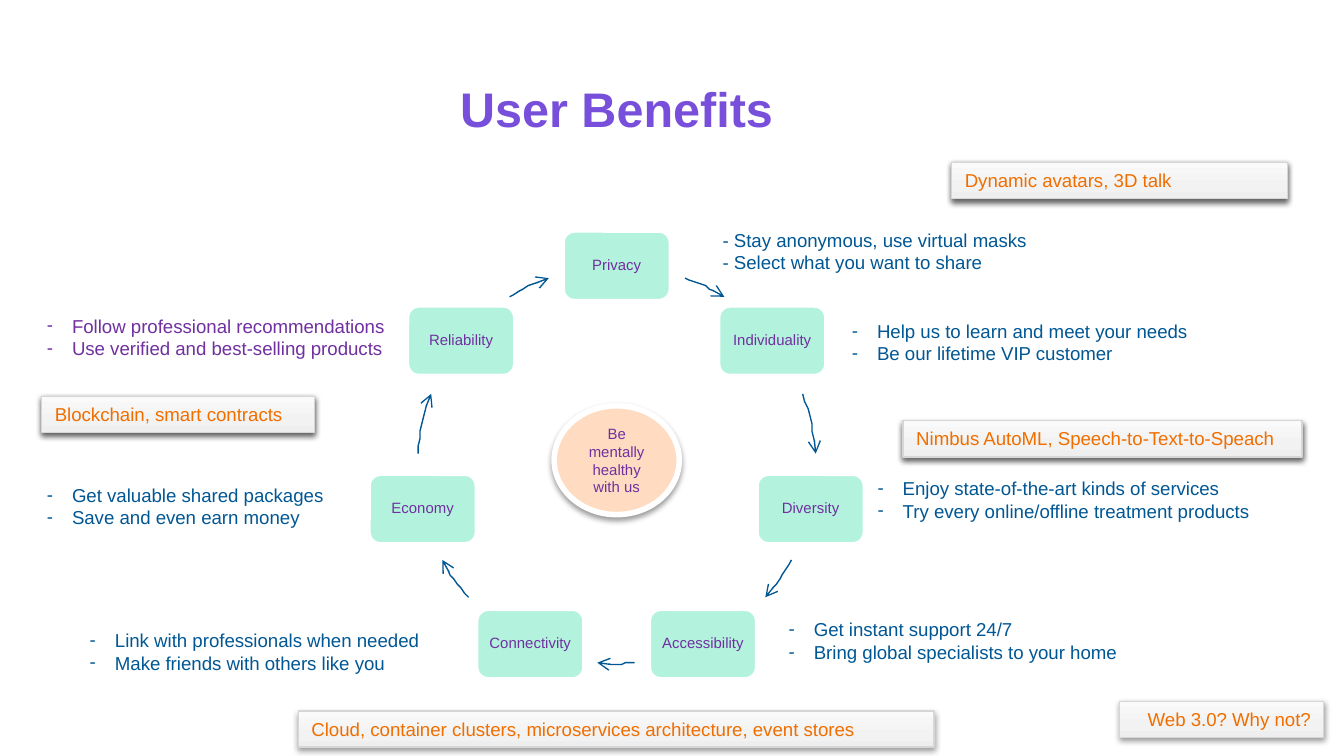
import copy
import math

import lxml.etree
import pptx
import pptx.dml.color
import pptx.enum.shapes
import pptx.enum.text
import pptx.oxml.ns
import pptx.util

Pt = pptx.util.Pt
SHAPES = pptx.enum.shapes.MSO_SHAPE
ALIGN = pptx.enum.text.PP_ALIGN
ANCHOR = pptx.enum.text.MSO_ANCHOR
AUTO_SIZE = pptx.enum.text.MSO_AUTO_SIZE
qn = pptx.oxml.ns.qn


class Theme:
    font = "Arial"
    title, blue, purple, orange = "774FDB", "005794", "7030A0", "F06E00"
    mint, peach, white, tag_line = "B3F2DD", "FEDBC1", "FFFFFF", "D6D6D6"
    tag_stops = [(0, "EEEEEE"), (0.35, "F2F2F2"), (1, "FAFAFA")]
    title_size, body_size, node_size = 26, 10, 8


# Content
TITLE = "User Benefits"
HUB = "Be mentally healthy with us"
# clockwise from the top: name, start and end angle of the arrow that follows
CYCLE = [
    ("Privacy", 19.8, 32.8),
    ("Individuality", 69, 87),
    ("Diversity", 118.3, 132),
    ("Accessibility", 174.6, 185.8),
    ("Connectivity", 228, 241.7),
    ("Economy", 273, 291),
    ("Reliability", 327.2, 340.2),
]
# left, top, width, colour, bulleted, lines
BENEFITS = [
    (380, 119, 181, Theme.blue, False,
     ["- Stay anonymous, use virtual masks", "- Select what you want to share"]),
    (449.3, 167.8, 214, Theme.blue, True,
     ["Help us to learn and meet your needs", "Be our lifetime VIP customer"]),
    (463, 252, 231, Theme.blue, True,
     ["Enjoy state-of-the-art kinds of services", "Try every online/offline treatment products"]),
    (415.4, 327.6, 214, Theme.blue, True,
     ["Get instant support 24/7", "Bring global specialists to your home"]),
    (41, 333.4, 214, Theme.blue, True,
     ["Link with professionals when needed", "Make friends with others like you"]),
    (18, 164.9, 214, Theme.purple, True,
     ["Follow professional recommendations", "Use verified and best-selling products"]),
    (18, 255.6, 214, Theme.blue, True,
     ["Get valuable shared packages", "Save and even earn money"]),
]
# left, top, width, alignment, layers (two layers deepen the shadow), text
TAGS = [
    (483.8, 225.4, 213.8, ALIGN.LEFT, 2, "Nimbus AutoML, Speech-to-Text-to-Speach"),
    (159.8, 380.9, 340.6, ALIGN.LEFT, 1,
     "Cloud, container clusters, microservices architecture, event stores"),
    (509.8, 87.1, 180, ALIGN.LEFT, 2, "Dynamic avatars, 3D talk"),
    (599.8, 375.8, 109.4, ALIGN.RIGHT, 1, "Web 3.0? Why not?"),
    (22.3, 212.4, 146.2, ALIGN.LEFT, 2, "Blockchain, smart contracts"),
]

# Geometry
CENTER_X, CENTER_Y, RADIUS = 330.4, 249, 106.6
NODE_WIDTH, NODE_HEIGHT = 57.6, 37.4
HUB_WIDTH, HUB_HEIGHT = 67, 58.3
TAG_HEIGHT, BENEFIT_HEIGHT, BULLET_INDENT = 19.4, 31.7, 13.5
ARC_STEPS = 8

deck = pptx.Presentation()
deck.slide_width, deck.slide_height = Pt(720), Pt(405)
page = deck.slides.add_slide(deck.slide_layouts[6])


def rgb(value):
    return pptx.dml.color.RGBColor.from_string(value)


def on_ring(degrees):
    angle = math.radians(degrees)
    return CENTER_X + RADIUS * math.sin(angle), CENTER_Y - RADIUS * math.cos(angle)


def write(box, lines, size, color, align=ALIGN.LEFT, anchor=ANCHOR.TOP,
          inset=None, spacing=None, bold=False):
    frame = box.text_frame
    frame.word_wrap = True
    frame.vertical_anchor = anchor
    if inset is not None:
        frame.margin_left = frame.margin_right = Pt(inset)
        frame.margin_top = frame.margin_bottom = Pt(inset)
    for index, line in enumerate(lines):
        para = frame.add_paragraph() if index else frame.paragraphs[0]
        para.alignment = align
        if spacing:
            para.line_spacing = spacing
        span = para.add_run()
        span.text = line
        span.font.name, span.font.size = Theme.font, Pt(size)
        span.font.bold, span.font.color.rgb = bold, rgb(color)
    return frame


def add_box(kind, left, top, width, height, line, line_width, fill=None):
    box = page.shapes.add_shape(kind, Pt(left), Pt(top), Pt(width), Pt(height))
    box.shadow.inherit = False
    box.line.color.rgb, box.line.width = rgb(line), Pt(line_width)
    if fill:
        box.fill.solid()
        box.fill.fore_color.rgb = rgb(fill)
    return box


def add_text_box(left, top, width, height):
    return page.shapes.add_textbox(Pt(left), Pt(top), Pt(width), Pt(height))


def drop_shadow(box):
    effects = box._element.spPr.find(qn("a:effectLst"))
    shadow = lxml.etree.SubElement(
        effects, qn("a:outerShdw"), blurRad=str(Pt(3.1)), dist=str(Pt(1.6)),
        dir="5400000", rotWithShape="0")
    color = lxml.etree.SubElement(shadow, qn("a:srgbClr"), val="000000")
    lxml.etree.SubElement(color, qn("a:alpha"), val="38000")


def tag_gradient(box):
    box.fill.gradient()
    box.fill.gradient_angle = 90
    stop_list = box._element.spPr.find(qn("a:gradFill")).find(qn("a:gsLst"))
    stop_list.append(copy.deepcopy(stop_list[0]))
    for stop, (position, color) in zip(box.fill.gradient_stops, Theme.tag_stops):
        stop.position, stop.color.rgb = position, rgb(color)


# Cycle: nodes evenly spaced on a ring, each followed by a curved arrow
for index, (name, start, end) in enumerate(CYCLE):
    x, y = on_ring(360 / len(CYCLE) * index)
    node = add_box(SHAPES.ROUNDED_RECTANGLE, x - NODE_WIDTH / 2, y - NODE_HEIGHT / 2,
                   NODE_WIDTH, NODE_HEIGHT, Theme.white, 2, Theme.mint)
    write(node, [name], Theme.node_size, Theme.purple, ALIGN.CENTER, ANCHOR.MIDDLE, 2, 0.9)

    points = [on_ring(start + (end - start) * step / ARC_STEPS)
              for step in range(ARC_STEPS + 1)]
    builder = page.shapes.build_freeform(*points[0], scale=Pt(1))
    builder.add_line_segments(points[1:], close=False)
    arrow = builder.convert_to_shape()
    arrow.shadow.inherit = False
    arrow.fill.background()
    arrow.line.color.rgb, arrow.line.width = rgb(Theme.blue), Pt(0.75)
    lxml.etree.SubElement(arrow._element.spPr.find(qn("a:ln")), qn("a:tailEnd"), type="arrow")

# Title
write(add_text_box(56.9, 46.1, 547.2, 58.3), [TITLE], Theme.title_size, Theme.title,
      ALIGN.CENTER, inset=0, spacing=0.9, bold=True)

# Hub
hub = add_box(SHAPES.OVAL, CENTER_X - HUB_WIDTH / 2, 217.4, HUB_WIDTH, HUB_HEIGHT,
              Theme.white, 3, Theme.peach)
drop_shadow(hub)
write(hub, [HUB], Theme.node_size, Theme.purple, ALIGN.CENTER, ANCHOR.MIDDLE)

# Benefits beside the nodes
for left, top, width, color, bulleted, lines in BENEFITS:
    frame = write(add_text_box(left, top, width, BENEFIT_HEIGHT), lines,
                  Theme.body_size, color)
    frame.auto_size = AUTO_SIZE.SHAPE_TO_FIT_TEXT
    for para in frame.paragraphs if bulleted else []:
        settings = para._p.get_or_add_pPr()
        settings.set("marL", str(Pt(BULLET_INDENT)))
        settings.set("indent", str(-Pt(BULLET_INDENT)))
        lxml.etree.SubElement(settings, qn("a:buFont"), typeface=Theme.font)
        lxml.etree.SubElement(settings, qn("a:buChar"), char="-")

# Technology tags
for left, top, width, align, layers, text in TAGS:
    for layer in range(layers):
        tag = add_box(SHAPES.RECTANGLE, left, top, width, TAG_HEIGHT, Theme.tag_line, 0.75)
        tag_gradient(tag)
        drop_shadow(tag)
        frame = write(tag, [text], Theme.body_size, Theme.orange, align)
        frame.auto_size = AUTO_SIZE.SHAPE_TO_FIT_TEXT

deck.save("out.pptx")
